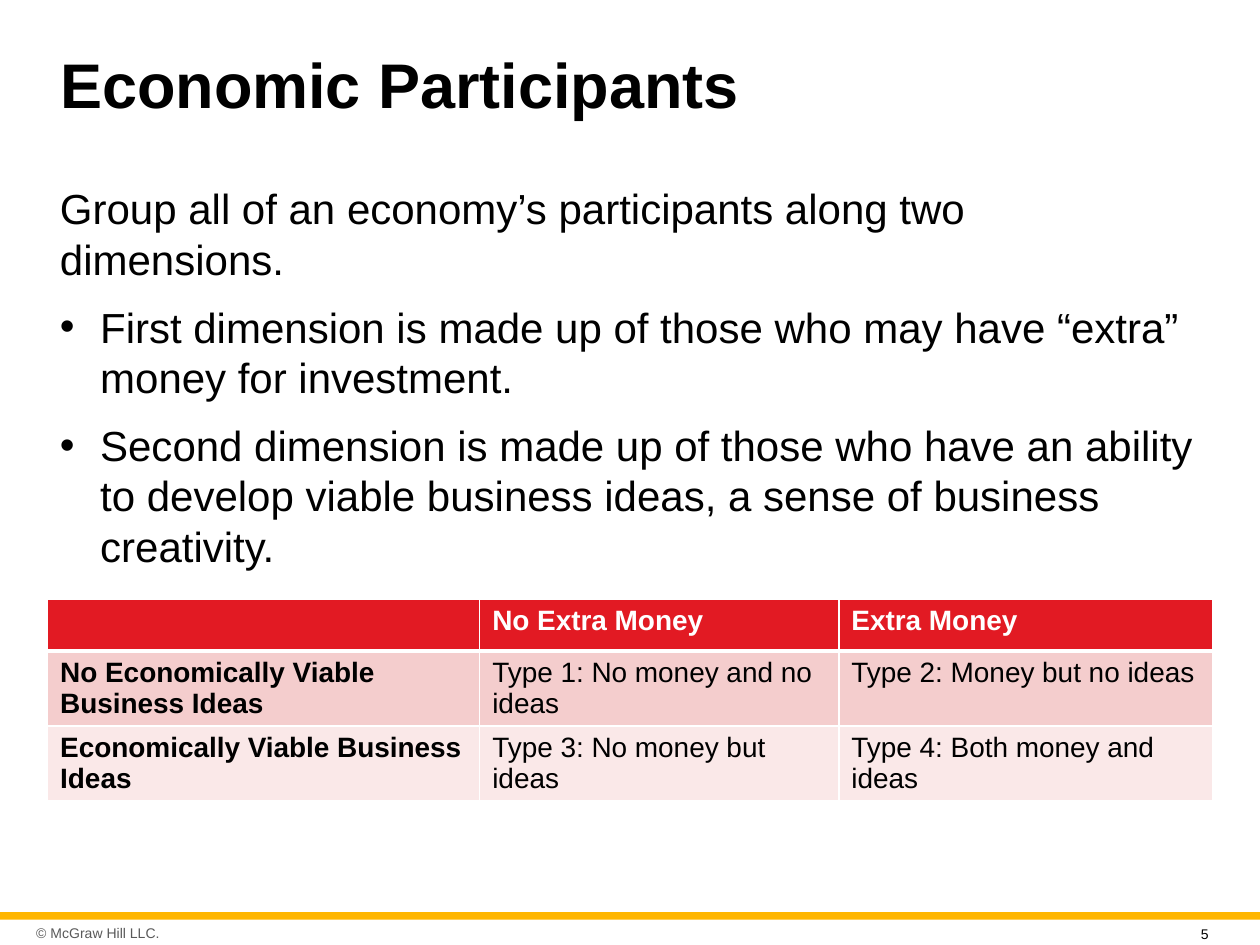
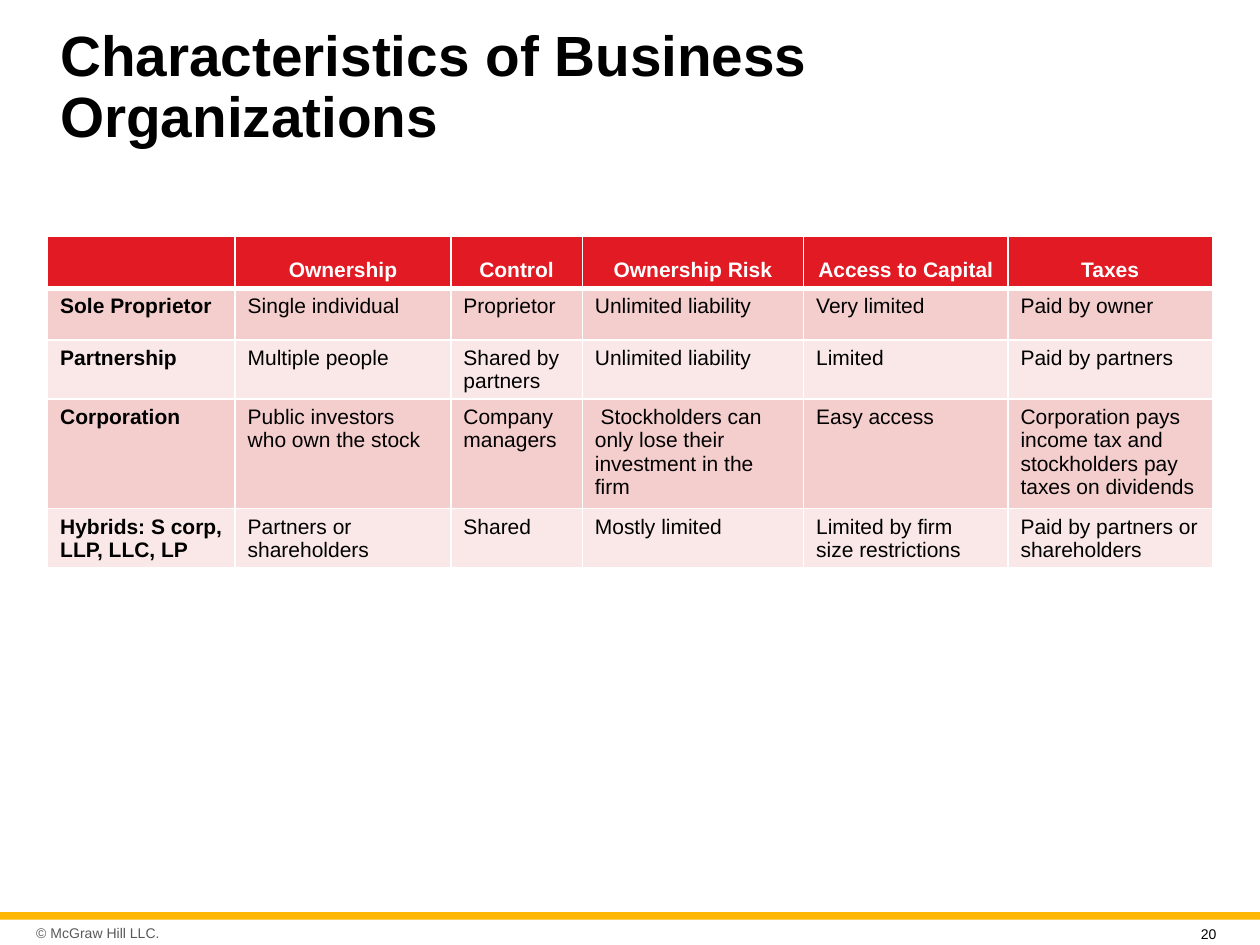
"""Build two slides on economic participants and business forms."""
from dataclasses import dataclass

from lxml.etree import SubElement as Sub
from pptx import Presentation
from pptx.dml.color import RGBColor as Rgb
from pptx.enum.shapes import MSO_SHAPE as Kind
from pptx.enum.text import MSO_ANCHOR as Anchor, MSO_AUTO_SIZE as Fit, PP_ALIGN as Align
from pptx.oxml.ns import qn
from pptx.slide import Slide
from pptx.util import Cm, Pt


@dataclass(frozen=True)
class Theme:
    font: str = "Arial"
    ink: str = "000000"
    paper: str = "FFFFFF"
    gold: str = "FFB600"
    gray: str = "595959"
    red: str = "E21A23"
    bands: tuple[str, str] = ("F4CDCD", "FAE8E8")
    body: float = 24
    note: float = 8


@dataclass(frozen=True)
class Box:
    left: float
    top: float
    width: float
    height: float

    def place(self) -> tuple[Cm, Cm, Cm, Cm]:
        return Cm(self.left), Cm(self.top), Cm(self.width), Cm(self.height)


@dataclass(frozen=True)
class Line:
    text: str
    bullet: bool = False


@dataclass(frozen=True)
class Grid:
    top: float
    widths: tuple[float, ...]
    rows: tuple[tuple[str, ...], ...]
    size: float
    foot: float
    center: bool = False


@dataclass(frozen=True)
class Page:
    title: str
    size: float
    number: str
    grid: Grid
    lines: tuple[Line, ...] = ()


THEME = Theme()
TITLE = Box(0.96, 0.53, 23.5, 2.51)
BODY = Box(0.96, 3.56, 23.4, 8.25)
BAR = Box(0, 18.39, 25.4, 0.15)
NOTE = Box(0.6, 18.51, 3.43, 0.61)
NUMBER = Box(23.96, 18.54, 0.99, 0.46)
LEFT, ROW, INDENT = 0.96, 1.04, 0.81

PAGES = (
    Page(
        "Economic Participants", 36, "5",
        Grid(12.08, (8.71, 7.24, 7.54), (
            ("", "No Extra Money", "Extra Money"),
            ("No Economically Viable Business Ideas", "Type 1: No money and no ideas",
             "Type 2: Money but no ideas"),
            ("Economically Viable Business Ideas", "Type 3: No money but ideas",
             "Type 4: Both money and ideas"),
        ), 16, 0.03),
        (
            Line("Group all of an economy’s participants along two dimensions."),
            Line("First dimension is made up of those who may have “extra” money "
                 "for investment.", True),
            Line("Second dimension is made up of those who have an ability to develop "
                 "viable business ideas, a sense of business creativity.", True),
        ),
    ),
    Page(
        "Characteristics of Business Organizations", 32.4, "20",
        Grid(4.77, (3.78, 4.35, 2.65, 4.46, 4.12, 4.12), (
            ("", "Ownership", "Control", "Ownership Risk", "Access to Capital", "Taxes"),
            ("Sole Proprietor", "Single individual", "Proprietor", "Unlimited liability",
             "Very limited", "Paid by owner"),
            ("Partnership", "Multiple people", "Shared by partners",
             "Unlimited liability", "Limited", "Paid by partners"),
            ("Corporation", "Public investors who own the stock", "Company managers",
             " Stockholders can only lose their investment in the firm", "Easy access",
             "Corporation pays income tax and stockholders pay taxes on dividends"),
            ("Hybrids: S corp, LLP, LLC, LP", "Partners or shareholders", "Shared",
             "Mostly limited", "Limited by firm size restrictions",
             "Paid by partners or shareholders"),
        ), 12, 0.05, True),
    ),
)


def style(para, size: float, color: str, bold: bool = False) -> None:
    font = para.font
    font.name, font.size, font.bold = THEME.font, Pt(size), bold
    font.color.rgb = Rgb.from_string(color)


def edge(cell, head: bool) -> None:
    props = cell._tc.get_or_add_tcPr()
    for spot, side in enumerate(("lnL", "lnR", "lnT", "lnB")):
        width = Pt(3 if head and side == "lnB" else 1)
        line = props.makeelement(qn(f"a:{side}"), {"w": str(width)})
        Sub(Sub(line, qn("a:solidFill")), qn("a:srgbClr"), val=THEME.paper)
        props.insert(spot, line)


def add_title(slide: Slide, text: str, size: float) -> None:
    title = slide.shapes.title
    title.left, title.top, title.width, title.height = TITLE.place()
    frame = title.text_frame
    frame.text = text
    frame.auto_size = Fit.NONE
    frame.vertical_anchor = Anchor.MIDDLE
    para = frame.paragraphs[0]
    para.alignment, para.line_spacing = Align.LEFT, 0.9
    style(para, size, THEME.ink, True)


def add_text(slide: Slide, box: Box, text: str, color: str):
    frame = slide.shapes.add_textbox(*box.place()).text_frame
    frame.word_wrap = True
    frame.text = text
    style(frame.paragraphs[0], THEME.note, color)
    return frame


def add_frame(slide: Slide, number: str) -> None:
    bar = slide.shapes.add_shape(Kind.RECTANGLE, *BAR.place())
    bar.shadow.inherit = False
    bar.fill.solid()
    bar.fill.fore_color.rgb = Rgb.from_string(THEME.gold)
    bar.line.fill.background()
    note = add_text(slide, NOTE, "© McGraw Hill LLC.", THEME.gray)
    note.vertical_anchor = Anchor.MIDDLE
    note.margin_left = note.margin_right = Cm(0.13)
    add_text(slide, NUMBER, number, THEME.ink)


def add_body(slide: Slide, lines: tuple[Line, ...]) -> None:
    frame = slide.shapes.add_textbox(*BODY.place()).text_frame
    frame.word_wrap = True
    for spot, line in enumerate(lines):
        para = frame.add_paragraph() if spot else frame.paragraphs[0]
        para.text = line.text
        if spot:
            para.space_before = Pt(10)
        if line.bullet:
            props = para._p.get_or_add_pPr()
            props.set("marL", str(Cm(INDENT)))
            props.set("indent", str(-Cm(INDENT)))
            Sub(props, qn("a:buFont"), typeface=THEME.font)
            Sub(props, qn("a:buChar"), char="•")
        style(para, THEME.body, THEME.ink)


def add_grid(slide: Slide, grid: Grid) -> None:
    count = len(grid.rows)
    box = Box(LEFT, grid.top, sum(grid.widths), count * ROW)
    table = slide.shapes.add_table(count, len(grid.widths), *box.place()).table
    for col, width in zip(table.columns, grid.widths):
        col.width = Cm(width)
    for y, texts in enumerate(grid.rows):
        table.rows[y].height = Cm(ROW)
        head = y == 0
        fill = THEME.red if head else THEME.bands[(y - 1) % 2]
        for x, text in enumerate(texts):
            cell = table.cell(y, x)
            cell.text = text
            cell.fill.solid()
            cell.fill.fore_color.rgb = Rgb.from_string(fill)
            edge(cell, head)
            para = cell.text_frame.paragraphs[0]
            if not head:
                cell.margin_bottom = Cm(grid.foot)
            elif grid.center:
                cell.vertical_anchor = Anchor.BOTTOM
                para.alignment = Align.CENTER
            style(para, grid.size, THEME.paper if head else THEME.ink, head or x == 0)


def main() -> None:
    deck = Presentation()
    deck.slide_width, deck.slide_height = Cm(25.4), Cm(19.05)
    for page in PAGES:
        slide = deck.slides.add_slide(deck.slide_layouts[5])
        add_frame(slide, page.number)
        add_title(slide, page.title, page.size)
        if page.lines:
            add_body(slide, page.lines)
        add_grid(slide, page.grid)
    deck.save("out.pptx")


if __name__ == "__main__":
    main()
